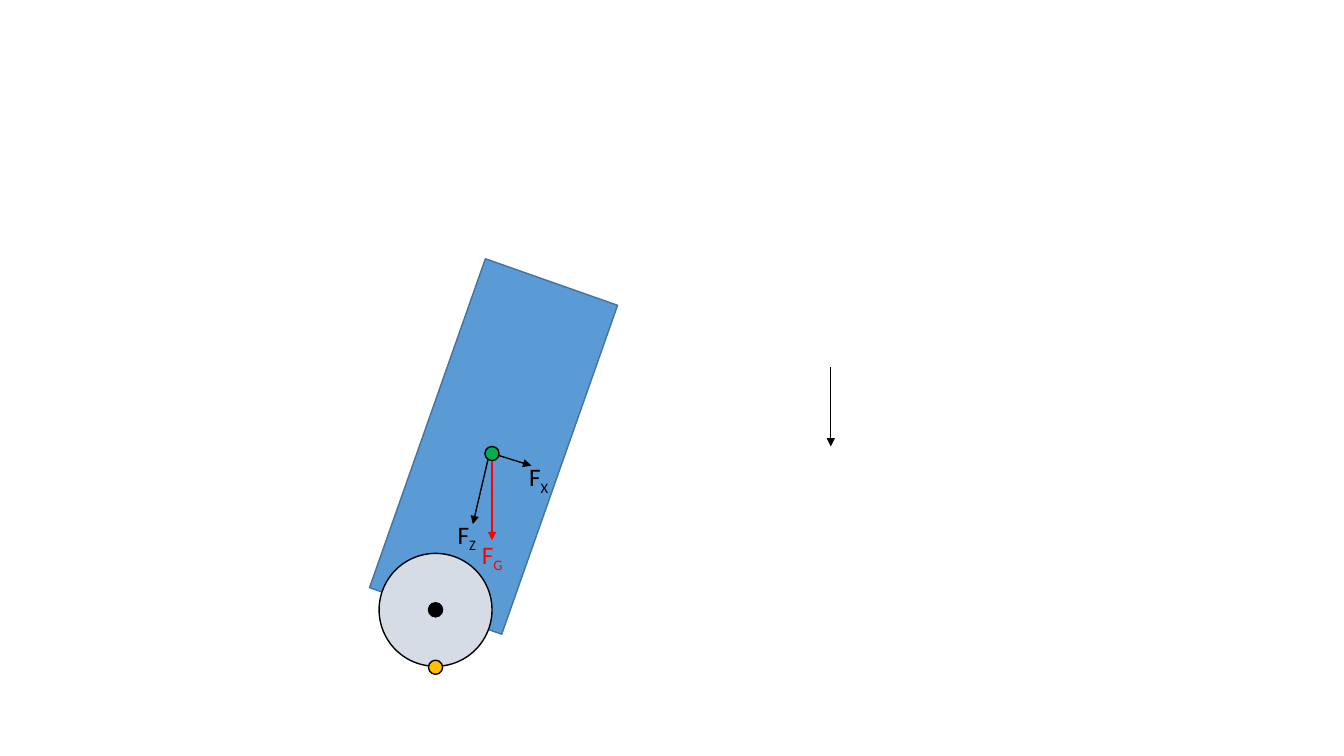
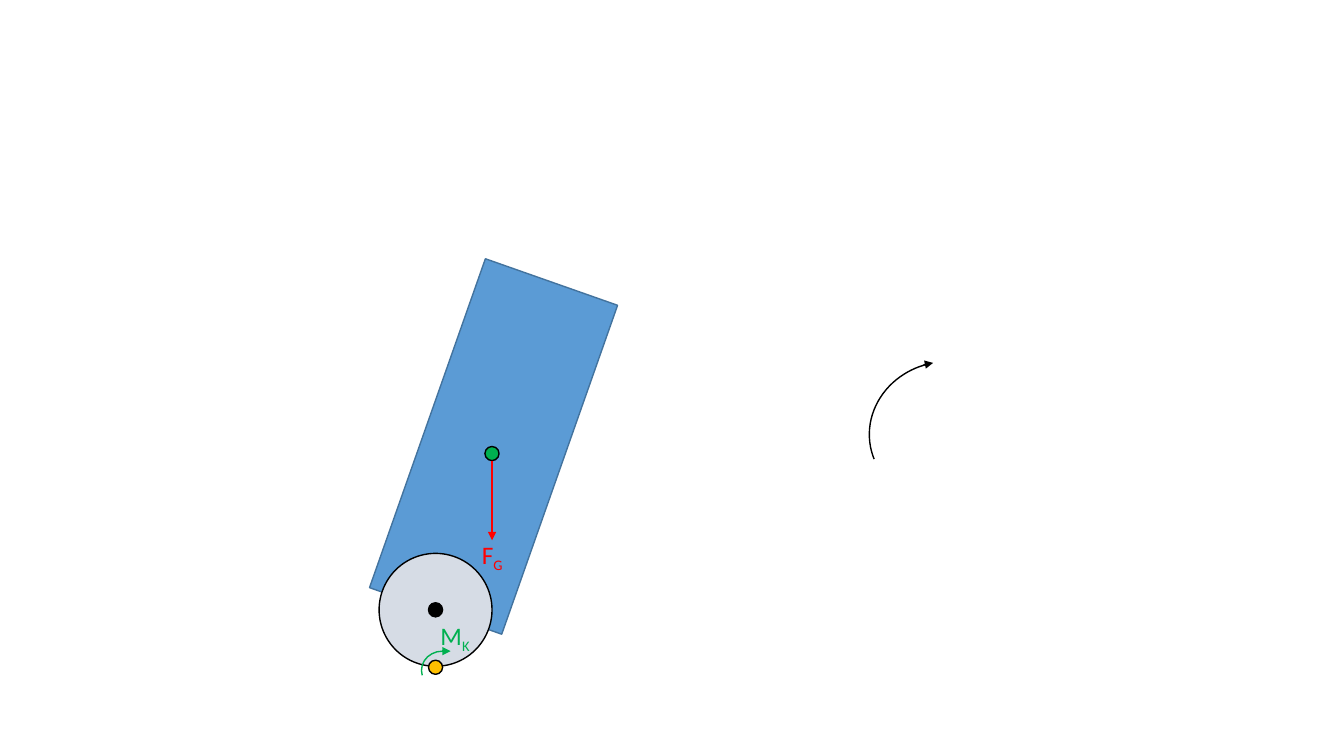
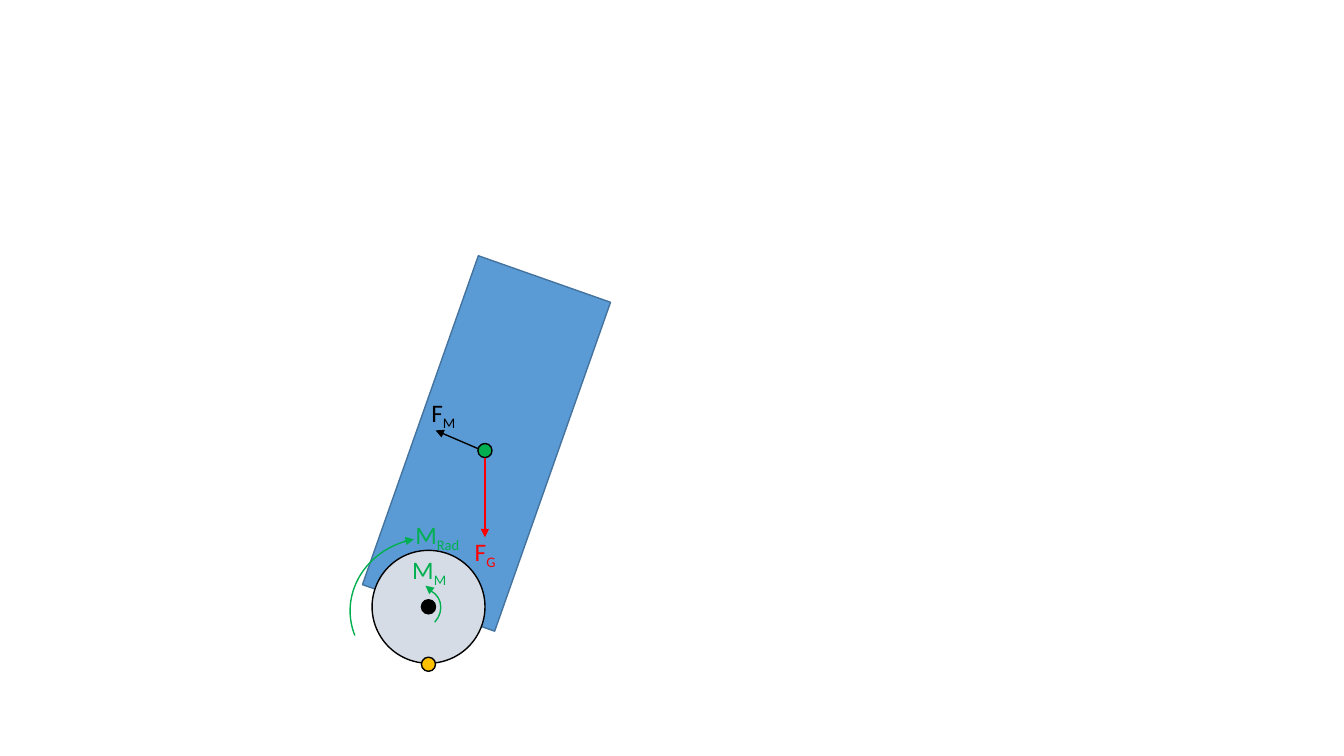
from pptx import Presentation
from pptx import util as u
from pptx.dml.color import RGBColor
from pptx.enum import shapes, text
from pptx.oxml.ns import qn
from lxml import etree

BLACK = RGBColor(0x00, 0x00, 0x00)
RED = RGBColor(0xFF, 0x00, 0x00)
GREEN = RGBColor(0x00, 0xB0, 0x50)
YELLOW = RGBColor(0xFF, 0xC0, 0x00)
BLUE = RGBColor(0x5B, 0x9B, 0xD5)
BLUE_EDGE = RGBColor(0x43, 0x73, 0x9E)
WHEEL_GREY = RGBColor(0xD6, 0xDC, 0xE5)
LINE = u.Pt(1)

prs = Presentation()
prs.slide_width, prs.slide_height = u.Inches(13.33), u.Inches(7.5)
CELL = prs.slide_height / 75  # square grid, 75 rows


def place(slide, preset, center, size, edge, fill=None, turn=0):
    """Preset shape around a center, both in cells."""
    (x, y), (w, h) = center, size
    shape = slide.shapes.add_shape(
        preset, *(round(n * CELL) for n in (x - w / 2, y - h / 2, w, h)))
    shape.shadow.inherit = False
    shape.rotation = turn
    shape.line.color.rgb, shape.line.width = edge, LINE
    if fill is None:
        shape.fill.background()
    else:
        shape.fill.solid()
        shape.fill.fore_color.rgb = fill
    return shape


# Robot parts, in cells from the wheel hub: center, diameter, fill
BODY_CENTER, BODY_SIZE, BODY_TILT = (5.75, -16.2), (13.9, 34.6), 19.4
DISCS = [((0, 0), 11.2, WHEEL_GREY), ((0, 0), 1.4, BLACK),
         ((5.6, -15.5), 1.4, GREEN), ((0, 5.7), 1.4, YELLOW)]

# Arc kinds: size, start and end angle in degrees
WIDE = ((15.1, 14), 350.3, 86.05)
SMALL = ((4.1, 3.8), 346.1, 90.9)
WIDE_TIP = ((-2.15, -6.7), (-1.2, -6.9))

# Forces: from, to, color; labels: letter, index, left, top, width, color
GRAVITY = ((5.6, -14.8), (5.6, -6.9), RED)
GRAVITY_LABEL = ("F", "G", 3.6, -7.5, 5.9, RED)

# Moments: arc kind, center, turn, arrow tip from the center, color
scenes = [
    dict(hub=(43.2, 60.5),
         forces=[((39.2, -24.1), (39.2, -16.2), BLACK), GRAVITY,
                 ((6.3, -15.3), (9.5, -14.3), BLACK),
                 ((5.2, -14.9), (3.7, -8.5), BLACK)],
         moments=[],
         labels=[GRAVITY_LABEL, ("F", "X", 8.3, -15.2, 4.4, BLACK),
                 ("F", "Z", 1.2, -9.5, 4.2, BLACK)]),
    dict(hub=(43.2, 60.5),
         forces=[GRAVITY],
         moments=[(WIDE, (50.55, -17.6), 169.2, WIDE_TIP, BLACK),
                  (SMALL, (0.65, 6), 180, ((-0.05, -1.9), (0.85, -1.9)), GREEN)],
         labels=[GRAVITY_LABEL, ("M", "K", -0.5, 0.5, 5.2, GREEN)]),
    dict(hub=(42.5, 60.2),
         forces=[GRAVITY, ((4.9, -15.7), (0.7, -17.5), BLACK)],
         moments=[(SMALL, (-0.75, 0.2), 313.1, ((1.05, -1.8), (0.45, -2.3)), GREEN),
                  (WIDE, (-0.25, 0.2), 169.2, WIDE_TIP, GREEN)],
         labels=[GRAVITY_LABEL, ("M", "M", -2.6, -5.7, 6.2, GREEN),
                 ("M", "Rad", -2.3, -9.2, 7.1, GREEN),
                 ("F", "M", -0.7, -21.3, 4.9, BLACK)]),
]

for scene in scenes:
    slide = prs.slides.add_slide(prs.slide_layouts[6])
    hub_x, hub_y = scene["hub"]

    # Robot
    place(slide, shapes.MSO_SHAPE.RECTANGLE,
          (hub_x + BODY_CENTER[0], hub_y + BODY_CENTER[1]),
          BODY_SIZE, BLUE_EDGE, BLUE, BODY_TILT)
    for (x, y), diameter, fill in DISCS:
        place(slide, shapes.MSO_SHAPE.OVAL, (hub_x + x, hub_y + y),
              (diameter, diameter), BLACK, fill)

    # Moment arcs; each adds its tip to the arrows
    arrows = list(scene["forces"])
    for (size, start, end), (x, y), turn, tip, color in scene["moments"]:
        arc = place(slide, shapes.MSO_SHAPE.ARC, (hub_x + x, hub_y + y),
                    size, color, turn=turn)
        arc.adjustments[0], arc.adjustments[1] = start * 0.6, end * 0.6
        tail, head = [(x + dx, y + dy) for dx, dy in tip]
        arrows.append((tail, head, color))

    # Arrows
    for (x1, y1), (x2, y2), color in arrows:
        arrow = slide.shapes.add_connector(
            shapes.MSO_CONNECTOR.STRAIGHT,
            round((hub_x + x1) * CELL), round((hub_y + y1) * CELL),
            round((hub_x + x2) * CELL), round((hub_y + y2) * CELL))
        arrow.line.color.rgb, arrow.line.width = color, LINE
        props = arrow._element.spPr
        etree.SubElement(props.find(qn("a:ln")), qn("a:tailEnd"), type="triangle")
        etree.SubElement(props, qn("a:effectLst"))

    # Labels with a lowered index
    for letter, index, x, y, width, color in scene["labels"]:
        label = slide.shapes.add_textbox(
            round((hub_x + x) * CELL), round((hub_y + y) * CELL),
            round(width * CELL), round(4 * CELL))
        frame = label.text_frame
        frame.word_wrap = True
        frame.auto_size = text.MSO_AUTO_SIZE.SHAPE_TO_FIT_TEXT
        for content in (letter, index):
            run = frame.paragraphs[0].add_run()
            run.text = content
            run.font.name, run.font.size = "Calibri", u.Pt(18)
            run.font.color.rgb = color
        run._r.get_or_add_rPr().set("baseline", "-25000")

prs.save("out.pptx")
